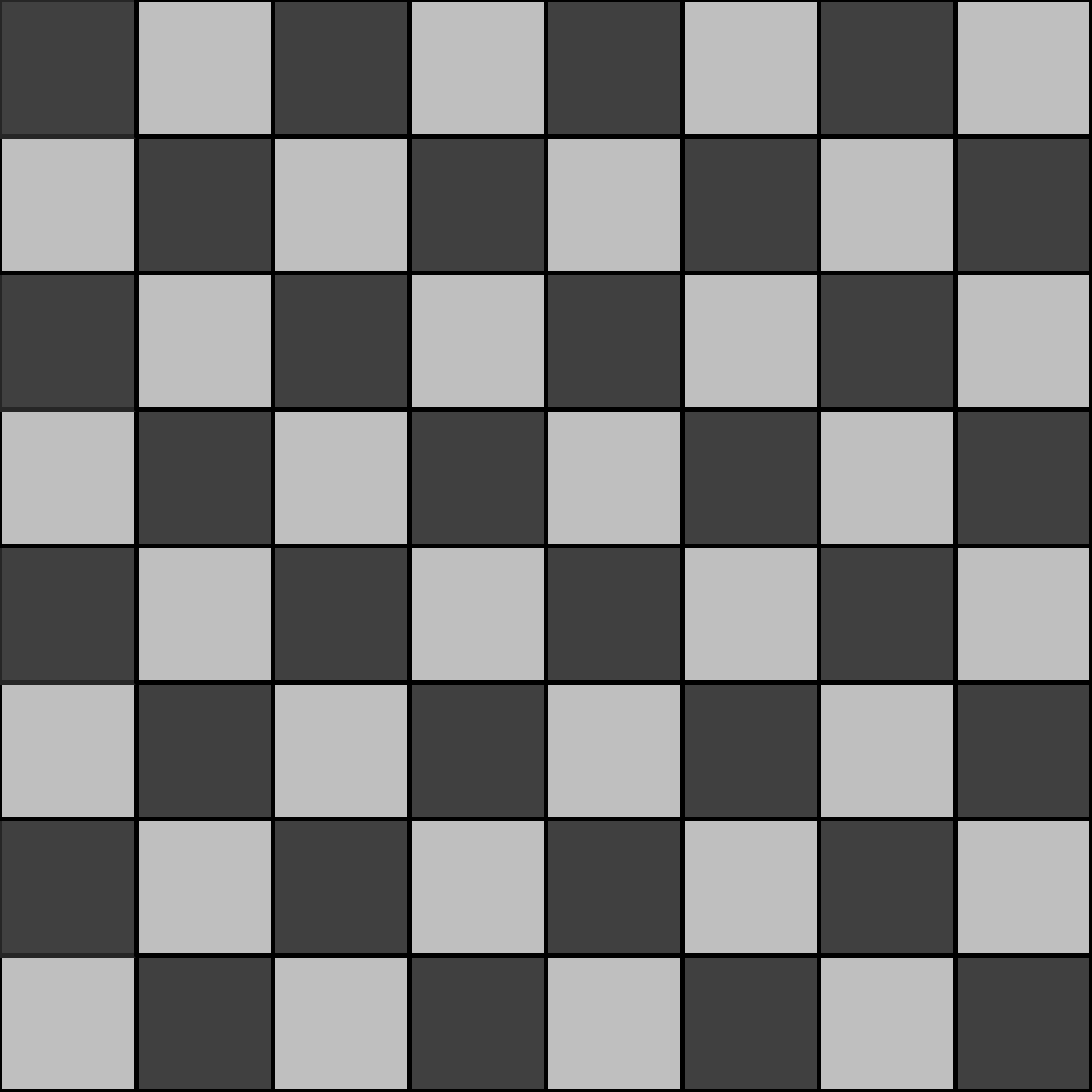
from pptx import Presentation
from pptx import util as u
from pptx.dml.color import RGBColor
from pptx.enum import shapes

COLORS = {"light": "BFBFBF", "dark": "404040", "line": "000000", "edge": "262626"}
SIDE = u.Inches(4.72)
CELLS = 8
COLUMN_ORDER = (4, 5, 6, 7, 0, 1, 2, 3)


def add_square(board, column, row):
    """Add one square of the board at a grid column and row."""
    size = SIDE / CELLS
    is_dark = (column + row) % 2 == 0
    square = board.shapes.add_shape(
        shapes.MSO_SHAPE.RECTANGLE,
        round(column * size), round(row * size), round(size), round(size))
    square.shadow.inherit = False
    square.fill.solid()
    square.fill.fore_color.rgb = RGBColor.from_string(COLORS["dark" if is_dark else "light"])
    outline = "edge" if is_dark and column == 0 else "line"
    square.line.color.rgb = RGBColor.from_string(COLORS[outline])
    square.line.width = u.Pt(1.5)


def add_board(slide):
    """Add the grouped checkerboard, stacked from the bottom row upwards."""
    board = slide.shapes.add_group_shape()
    for row in reversed(range(CELLS)):
        for column in COLUMN_ORDER:
            add_square(board, column, row)


def main():
    """Build and save the checkerboard slide."""
    presentation = Presentation()
    presentation.slide_width = presentation.slide_height = SIDE
    slide = presentation.slides.add_slide(presentation.slide_layouts[6])
    add_board(slide)
    presentation.save("out.pptx")


if __name__ == "__main__":
    main()
